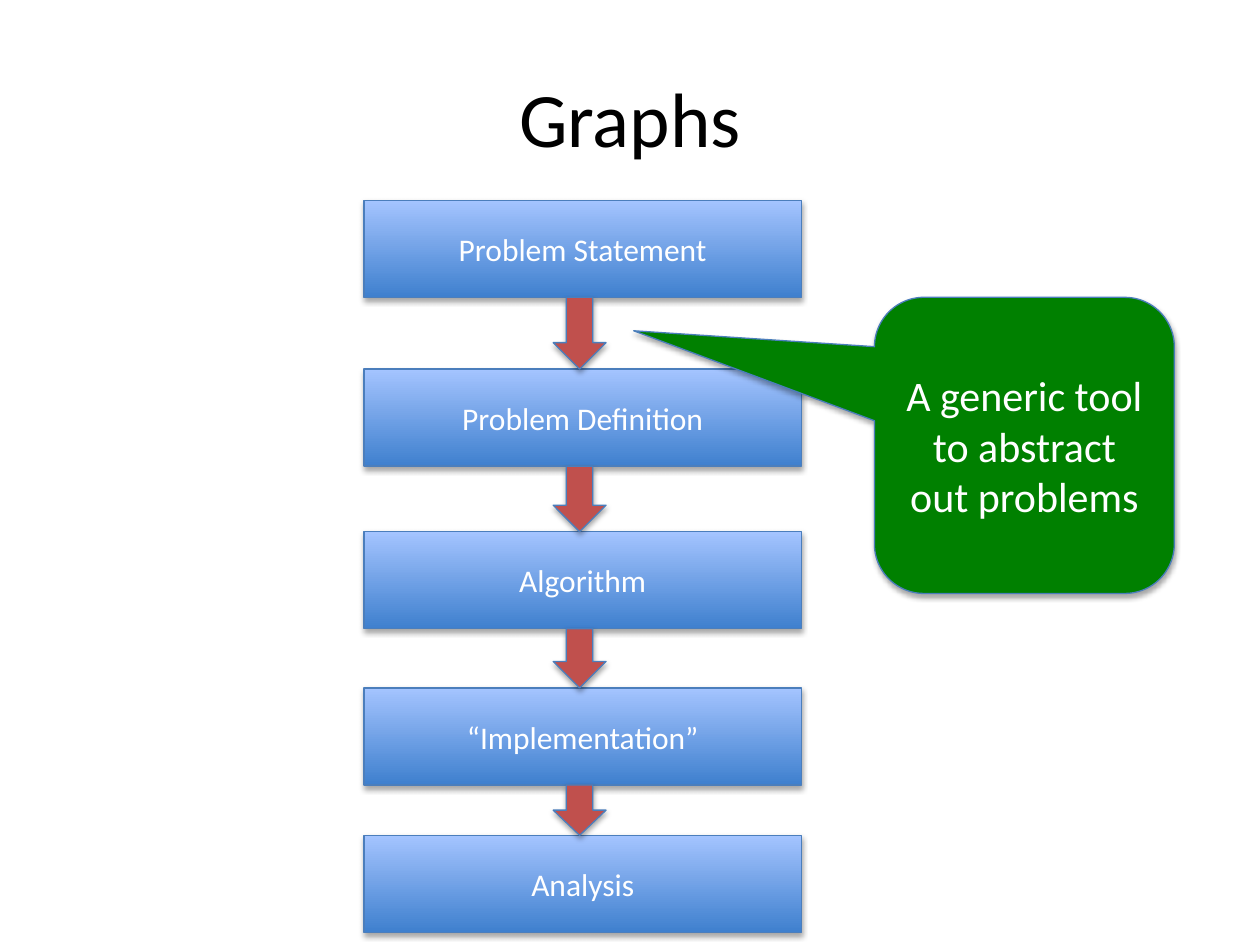
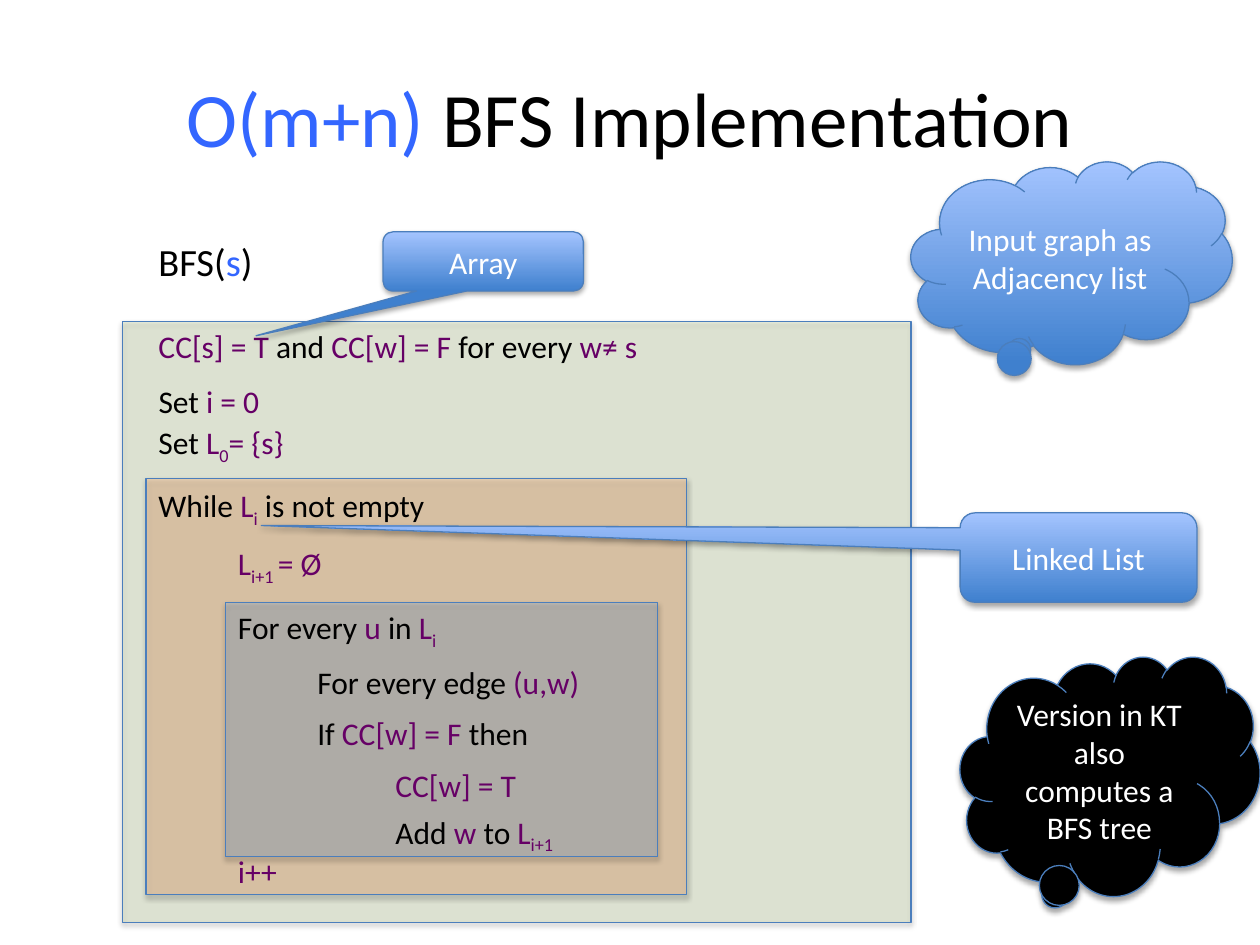
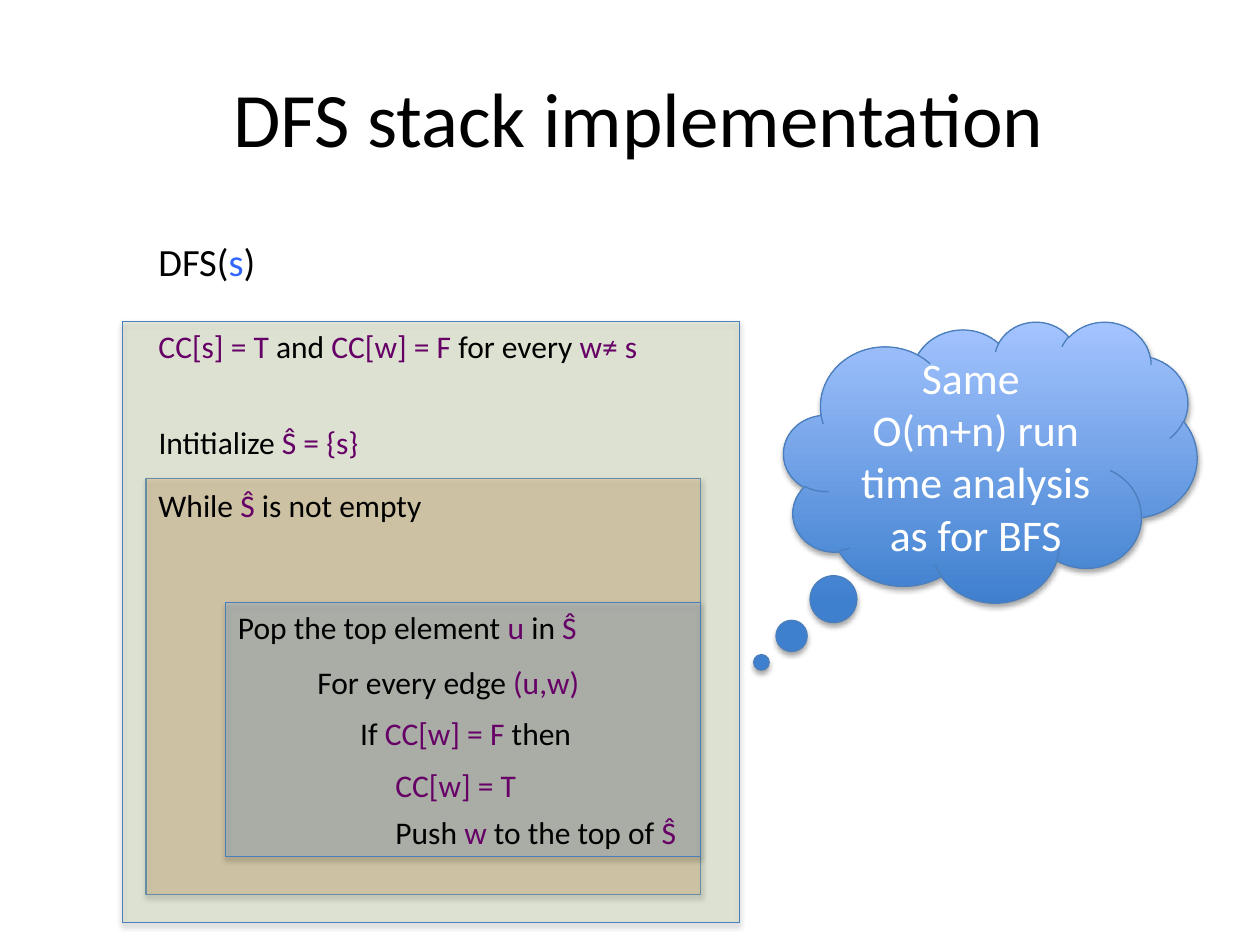
import itertools
from dataclasses import dataclass

import lxml.etree
import pptx
import pptx.dml.color
import pptx.enum.shapes
import pptx.enum.text
import pptx.oxml.ns
import pptx.util

Inches = pptx.util.Inches
SHAPE = pptx.enum.shapes.MSO_SHAPE
qn = pptx.oxml.ns.qn


@dataclass(frozen=True)
class Theme:
    font: str = "Calibri"
    text: str = "000000"
    light: str = "FFFFFF"
    accent: str = "3366FF"
    math: str = "660066"
    line: str = "4B7EBC"
    gradient: tuple = ("3F80CE", "A4C4FF")
    arrow: str = "C0504D"
    green: str = "008000"
    outer: str = "C3D69B"
    loop: str = "FAC090"
    inner: str = "95B3D7"
    title_size: float = 44
    name_size: float = 22
    body_size: float = 18
    tool_size: float = 24
    cloud_size: float = 25
    line_width: float = 0.75


def rgb(value):
    return pptx.dml.color.RGBColor.from_string(value)


def add_run(p, text, *, font, size, color, subscript=False):
    r = p.add_run()
    r.text = text
    r.font.name = font
    r.font.size = pptx.util.Pt(size)
    r.font.color.rgb = rgb(color)
    if subscript:
        r.font._element.set("baseline", "-25000")


class Deck:
    def __init__(self, theme):
        self.theme = theme
        self.prs = pptx.Presentation()
        self.prs.slide_width, self.prs.slide_height = Inches(10), Inches(7.5)
        self.slide = None

    def new_slide(self):
        self.slide = self.prs.slides.add_slide(self.prs.slide_layouts[5])

    def add_text(self, p, text, size, color, marked=None):
        """Text between bars takes the marked colour; text between tildes is subscript."""
        for i, part in enumerate(text.split("|")):
            for j, piece in enumerate(part.split("~")):
                if piece:
                    add_run(p, piece, font=self.theme.font, size=size,
                            color=marked if i % 2 else color, subscript=j % 2 == 1)

    def title(self, text):
        sp = self.slide.shapes.title
        sp.left, sp.top, sp.width, sp.height = map(Inches, (0.5, 0.3, 9, 1.25))
        tf = sp.text_frame
        tf.vertical_anchor = pptx.enum.text.MSO_ANCHOR.MIDDLE
        p = tf.paragraphs[0]
        p.alignment = pptx.enum.text.PP_ALIGN.CENTER
        self.add_text(p, text, self.theme.title_size, self.theme.text, self.theme.accent)

    def label(self, x, y, w, text, h=0.4, size=None, marked=None):
        tf = self.slide.shapes.add_textbox(*map(Inches, (x, y, w, h))).text_frame
        tf.word_wrap = False
        tf.auto_size = pptx.enum.text.MSO_AUTO_SIZE.SHAPE_TO_FIT_TEXT
        self.add_text(tf.paragraphs[0], text, size or self.theme.body_size,
                      self.theme.text, marked or self.theme.math)

    def shape(self, kind, x, y, w, h, *lines, fill=None, opacity=None, adj=(), size=None):
        """Outlined, shadowed shape; without a fill colour it takes the theme gradient."""
        sp = self.slide.shapes.add_shape(kind, *map(Inches, (x, y, w, h)))
        for i, value in enumerate(adj):
            sp.adjustments[i] = value
        if fill:
            sp.fill.solid()
            sp.fill.fore_color.rgb = rgb(fill)
        else:
            sp.fill.gradient()
            sp.fill.gradient_angle = 90
            for stop, color in zip(sp.fill.gradient_stops, self.theme.gradient):
                stop.color.rgb = rgb(color)
        if opacity:
            color = sp.element.spPr.find(qn("a:solidFill"))[0]
            lxml.etree.SubElement(color, qn("a:alpha"), val=str(opacity * 1000))
        sp.line.color.rgb = rgb(self.theme.line)
        sp.line.width = pptx.util.Pt(self.theme.line_width)
        self.add_shadow(sp)
        tf = sp.text_frame
        for i, text in enumerate(lines):
            p = tf.add_paragraph() if i else tf.paragraphs[0]
            p.alignment = pptx.enum.text.PP_ALIGN.CENTER
            self.add_text(p, text, size or self.theme.body_size, self.theme.light)

    def add_shadow(self, sp):
        sp.shadow.inherit = False
        effects = sp.element.spPr.find(qn("a:effectLst"))
        shadow = lxml.etree.SubElement(
            effects, qn("a:outerShdw"), blurRad=str(int(pptx.util.Pt(3.1))),
            dist=str(int(pptx.util.Pt(1.8))), dir="5400000", rotWithShape="0")
        color = lxml.etree.SubElement(shadow, qn("a:srgbClr"), val="000000")
        lxml.etree.SubElement(color, qn("a:alpha"), val="35000")

    def outer_block(self, w):
        self.shape(SHAPE.RECTANGLE, 0.97, 2.55, w, 4.77, fill=self.theme.outer, opacity=28)

    def loop_block(self, w):
        self.shape(SHAPE.RECTANGLE, 1.16, 3.8, w, 3.3, fill=self.theme.loop, opacity=43)

    def inner_block(self, w):
        self.shape(SHAPE.RECTANGLE, 1.79, 4.78, w, 2.02, fill=self.theme.inner, opacity=34)

    def pseudocode(self, name, if_left, lines):
        """Add the procedure name, the lines every search shares, and its own lines."""
        self.label(INDENT[0], 1.84, 0.97, name, 0.47, self.theme.name_size, self.theme.accent)
        shared = [
            (INDENT[0], 2.55, 4.07, "|CC[s] = T |and |CC[w] = F |for every |w≠ s|"),
            (INDENT[2], 5.21, 2.3, "For every edge |(u,w)|"),
            (if_left, 5.62, 1.89, "If |CC[w] = F |then"),
            (INDENT[3], 6.03, 1.17, "|CC[w] = T|"),
        ]
        for line in shared + lines:
            self.label(*line)


INDENT = (1.16, 1.79, 2.42, 3.04)


def graphs_slide(deck):
    deck.new_slide()
    deck.title("Graphs")
    box_height = 0.77
    steps = {"Problem Statement": 1.59, "Problem Definition": 2.93, "Algorithm": 4.22,
             "“Implementation”": 5.46, "Analysis": 6.63}
    for text, top in steps.items():
        deck.shape(SHAPE.RECTANGLE, 2.89, top, 3.47, box_height, text)
    for top, next_top in itertools.pairwise(steps.values()):
        bottom = top + box_height
        deck.shape(SHAPE.DOWN_ARROW, 4.39, bottom, 0.42, next_top - bottom,
                   fill=deck.theme.arrow)
    deck.shape(SHAPE.ROUNDED_RECTANGULAR_CALLOUT, 6.94, 2.36, 2.38, 2.35,
               "A generic tool to abstract out problems", fill=deck.theme.green,
               adj=(-1.303, -0.387, 0.167), size=deck.theme.tool_size)


def bfs_slide(deck):
    deck.new_slide()
    deck.outer_block(6.26)
    deck.loop_block(4.29)
    deck.inner_block(3.43)
    deck.title("|O(m+n) |BFS Implementation")
    deck.pseudocode("BFS(|s|)", INDENT[2], [
        (INDENT[0], 2.98, 1.01, "Set| i = 0|"),
        (INDENT[0], 3.31, 1.23, "Set |L~0~= {s}|"),
        (INDENT[0], 3.81, 2.36, "While |L~i~| is not empty"),
        (INDENT[1], 4.27, 0.9, "|L~i+1 ~= Ø|"),
        (INDENT[1], 4.78, 1.82, "For every |u| in |L~i~|"),
        (INDENT[3], 6.4, 1.49, "Add |w| to |L~i+1~|"),
        (INDENT[1], 6.71, 0.51, "|i++|"),
    ])
    callout, cloud = SHAPE.ROUNDED_RECTANGULAR_CALLOUT, SHAPE.CLOUD_CALLOUT
    deck.shape(callout, 3.04, 1.84, 1.59, 0.47, "Array", adj=(-1.134, 1.255, 0.167))
    deck.shape(callout, 7.62, 4.07, 1.88, 0.71, "Linked List", adj=(-3.45, -0.358, 0.167))
    deck.shape(cloud, 7.23, 1.28, 2.55, 1.61, "Input graph as Adjacency list",
               adj=(-0.164, 0.434))
    deck.shape(cloud, 7.62, 5.21, 2.38, 1.9, "Version in KT also computes a BFS tree",
               fill=deck.theme.text, adj=(-0.179, 0.483))


def dfs_slide(deck):
    deck.new_slide()
    deck.loop_block(4.4)
    deck.outer_block(4.9)
    deck.inner_block(3.77)
    deck.title(" DFS stack implementation")
    deck.pseudocode("DFS(|s|)", 2.76, [
        (INDENT[0], 3.31, 1.81, "Intitialize |Ŝ = {s}|"),
        (INDENT[0], 3.81, 2.36, "While |Ŝ| is not empty"),
        (INDENT[1], 4.78, 2.92, "Pop the top element |u| in |Ŝ|"),
        (INDENT[3], 6.4, 2.45, "Push |w| to the top of |Ŝ|"),
    ])
    deck.shape(SHAPE.CLOUD_CALLOUT, 6.22, 2.55, 3.28, 2.23, "Same ",
               "O(m+n) run time analysis as for BFS", adj=(-0.554, 0.714),
               size=deck.theme.cloud_size)


def main():
    deck = Deck(Theme())
    graphs_slide(deck)
    bfs_slide(deck)
    dfs_slide(deck)
    deck.prs.save("out.pptx")


if __name__ == "__main__":
    main()
